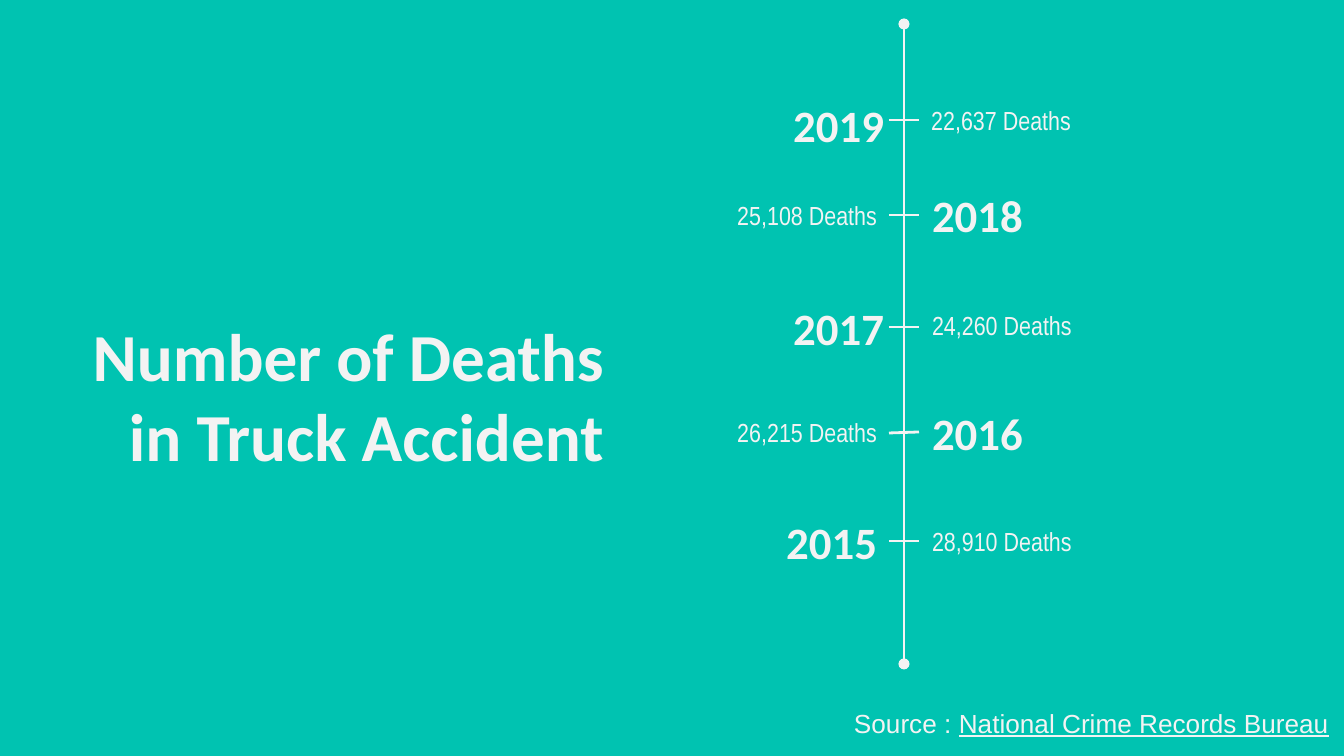
from lxml import etree
from pptx import Presentation
from pptx.dml.color import RGBColor
from pptx.enum.shapes import MSO_CONNECTOR as CONNECTOR
from pptx.enum.text import MSO_ANCHOR as ANCHOR, PP_ALIGN as ALIGN
from pptx.oxml.ns import qn
from pptx.util import Emu, Pt

COLORS = {"background": "00C3B1", "ink": "F3F3F3"}
SCALE = 9144000 / 1344


def px(length):
    return Emu(round(length * SCALE))


def add_text(page, text, left, top, width, height, size=14, font="Arial Narrow",
             bold=False, align=ALIGN.LEFT, anchor=ANCHOR.MIDDLE, inset=13, underlined=""):
    """Add a text box; the underlined part follows the plain text."""
    box = page.shapes.add_textbox(px(left), px(top), px(width), px(height))
    frame = box.text_frame
    frame.word_wrap = True
    frame.vertical_anchor = anchor
    frame.margin_left = frame.margin_right = px(13)
    frame.margin_top = frame.margin_bottom = px(inset)
    para = frame.paragraphs[0]
    para.alignment = align
    for part in filter(None, (text, underlined)):
        span = para.add_run()
        span.text = part
        span.font.size = Pt(size)
        span.font.name = font
        span.font.bold = bold
        span.font.underline = part == underlined
        span.font.color.rgb = RGBColor.from_string(COLORS["ink"])


def add_line(page, x1, y1, x2, y2):
    line = page.shapes.add_connector(CONNECTOR.STRAIGHT, px(x1), px(y1), px(x2), px(y2))
    line.line.color.rgb = RGBColor.from_string(COLORS["ink"])
    line.line.width = Pt(1.5)
    etree.SubElement(line._element.spPr, qn("a:effectLst"))
    return line


deck = Presentation()
deck.slide_width, deck.slide_height = px(1344), px(756)
page = deck.slides.add_slide(deck.slide_layouts[6])
page.background.fill.solid()
page.background.fill.fore_color.rgb = RGBColor.from_string(COLORS["background"])

add_text(page, "Number of Deaths in Truck Accident", 51, 301, 566, 142,
         size=36, font="Calibri", bold=True, align=ALIGN.RIGHT, anchor=ANCHOR.TOP)

axis = add_line(page, 904, 24, 904, 664)
for end in ("a:headEnd", "a:tailEnd"):
    etree.SubElement(axis.line._ln, qn(end), type="oval")

# Year, its left and top, its side of the axis, and the y of its tick from left to right
years = [
    ("2019", 593, 78, ALIGN.RIGHT, 120, 120),
    ("2018", 919, 168, ALIGN.LEFT, 215, 215),
    ("2017", 593, 281, ALIGN.RIGHT, 327, 327),
    ("2016", 919, 386, ALIGN.LEFT, 433, 432),
    ("2015", 586, 495, ALIGN.RIGHT, 541, 541),
]
for year, left, top, align, tick_start, tick_end in years:
    add_line(page, 889, tick_start, 919, tick_end)
    add_text(page, year, left, top, 304, 93, size=24, font="Calibri", bold=True, align=align)

add_text(page, "22,637 Deaths", 905, 74, 179, 93, align=ALIGN.RIGHT)
add_text(page, "25,108 Deaths", 586, 169, 304, 93, align=ALIGN.RIGHT)
add_text(page, "24,260 Deaths", 919, 302, 195, 77, anchor=ANCHOR.TOP, inset=7)
add_text(page, "26,215 Deaths", 586, 386, 304, 93, align=ALIGN.RIGHT)
add_text(page, "28,910 Deaths", 919, 495, 304, 93)

add_text(page, "Source : ", 841, 700, 503, 46, font="Arial", anchor=ANCHOR.TOP,
         inset=7, underlined="National Crime Records Bureau")

deck.save("out.pptx")
